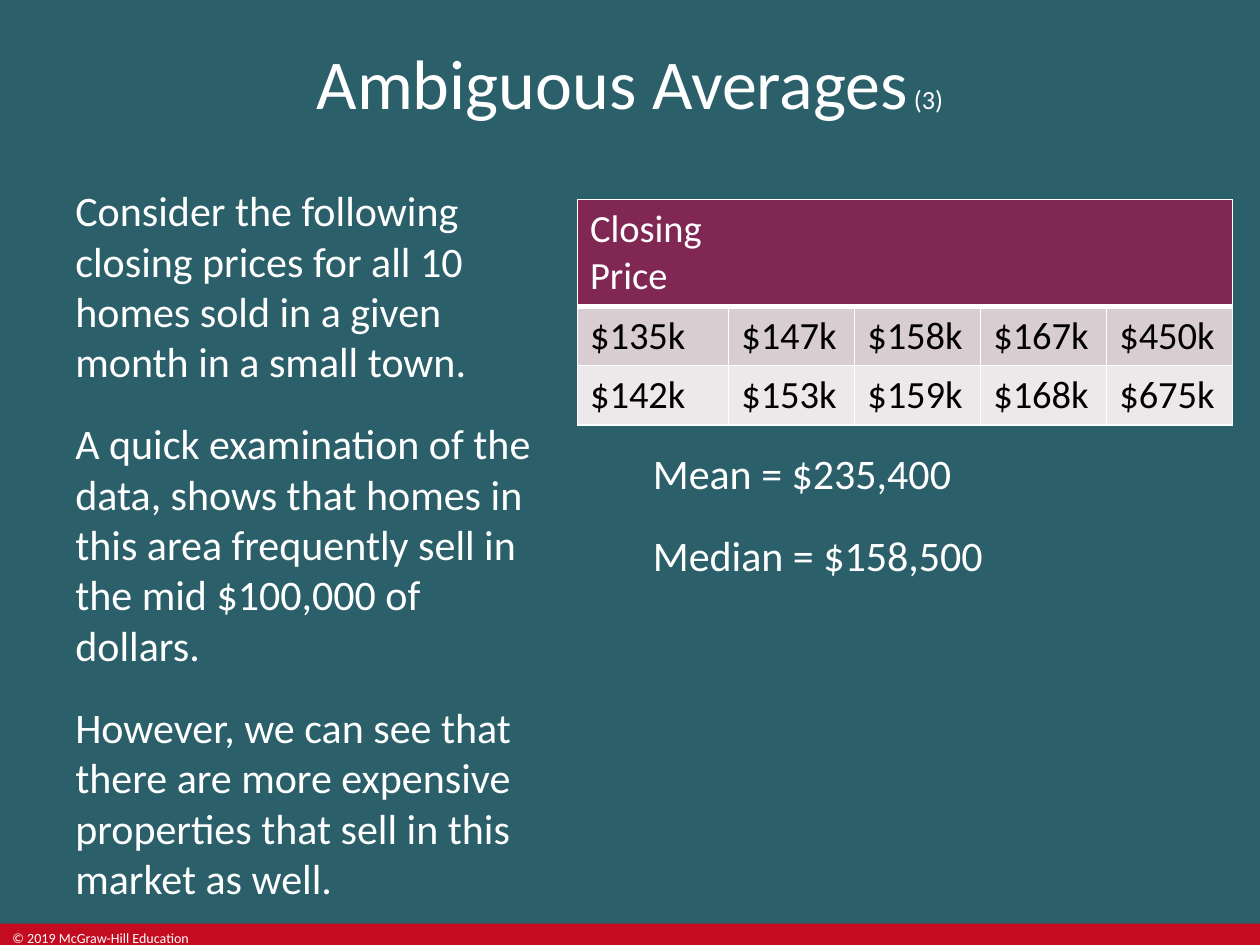
from lxml import etree
from pptx import Presentation
from pptx.dml.color import RGBColor
from pptx.enum.shapes import MSO_SHAPE
from pptx.enum.text import MSO_ANCHOR, PP_ALIGN
from pptx.oxml.ns import qn
from pptx.util import Pt

RECT = MSO_SHAPE.RECTANGLE
TOP, MIDDLE = MSO_ANCHOR.TOP, MSO_ANCHOR.MIDDLE
LEFT, CENTER = PP_ALIGN.LEFT, PP_ALIGN.CENTER
WHITE = "FFFFFF"


def color(code):
    return RGBColor.from_string(code)


def write(para, text, size, ink=WHITE):
    run = para.add_run()
    run.text = text
    run.font.color.rgb = color(ink)
    for name, value in {"name": "Calibri", "size": Pt(size)}.items():
        setattr(run.font, name, value)


deck = Presentation()
deck.slide_width, deck.slide_height = Pt(720), Pt(540)
slide = deck.slides.add_slide(deck.slide_layouts[6])
slide.background.fill.solid()
slide.background.fill.fore_color.rgb = color("2B606A")

band = slide.shapes.add_shape(RECT, Pt(0), Pt(527.76), Pt(720), Pt(12.24))
band.shadow.inherit = False
band.fill.solid()
band.fill.fore_color.rgb = color("C30C20")
band.line.fill.background()

texts = [
    ((0, 527.76, 122.4, 12.24), TOP, LEFT, [[("© 2019 McGraw-Hill Education", 8)]]),
    ((0, 0, 720, 93.6), MIDDLE, CENTER, [[("Ambiguous Averages", 40), (" (3)", 15)]]),
    ((36, 102, 288, 396), TOP, LEFT, [
        [("Consider the following closing prices for all 10 homes sold in a given month in a small town.", 24)],
        [("A quick examination of the data, shows that homes in this area frequently sell in the mid $100,000 of dollars.", 24)],
        [("However, we can see that there are more expensive properties that sell in this market as well.", 24)],
    ]),
    ((366, 252, 258, 96), TOP, LEFT, [[("Mean = $235,400", 24)], [("Median = $158,500", 24)]]),
]
for place, anchor, align, paras in texts:
    frame = slide.shapes.add_textbox(*map(Pt, place)).text_frame
    for name, value in {"word_wrap": True, "vertical_anchor": anchor}.items():
        setattr(frame, name, value)
    for i, runs in enumerate(paras):
        para = frame.add_paragraph() if i else frame.paragraphs[0]
        para.alignment = align
        if i:
            para.space_before = Pt(18)
        for text, size in runs:
            write(para, text, size)

rows = [
    ["Closing Price", "", "", "", ""],
    ["$135k", "$147k", "$158k", "$167k", "$450k"],
    ["$142k", "$153k", "$159k", "$168k", "$675k"],
]
looks = [("802754", WHITE, 61), ("D8CDD1", "000000", 34), ("EDE8E9", "000000", 34)]
last = len(rows[0]) - 1
table = slide.shapes.add_table(3, 5, Pt(330), Pt(114), Pt(374.4), Pt(129)).table
for col, width in zip(table.columns, [86.4, 72, 72, 72, 72]):
    col.width = Pt(width)
for r, (words, (fill, ink, height)) in enumerate(zip(rows, looks)):
    table.rows[r].height = Pt(height)
    for c, word in enumerate(words):
        cell = table.cell(r, c)
        props = cell._tc.get_or_add_tcPr()
        edges = {
            "a:lnL": 1 if r or c == 0 else 0,
            "a:lnR": 1 if r or c == last else 0,
            "a:lnT": 3 if r == 1 else 1,
            "a:lnB": 3 if r == 0 else 1,
        }
        for tag, width in edges.items():
            edge = etree.SubElement(props, qn(tag), w=str(Pt(width)))
            if width:
                paint = etree.SubElement(edge, qn("a:solidFill"))
                etree.SubElement(paint, qn("a:srgbClr"), val=WHITE)
            else:
                etree.SubElement(edge, qn("a:noFill"))
        cell.fill.solid()
        cell.fill.fore_color.rgb = color(fill)
        if word:
            write(cell.text_frame.paragraphs[0], word, 22, ink)

deck.save("out.pptx")
